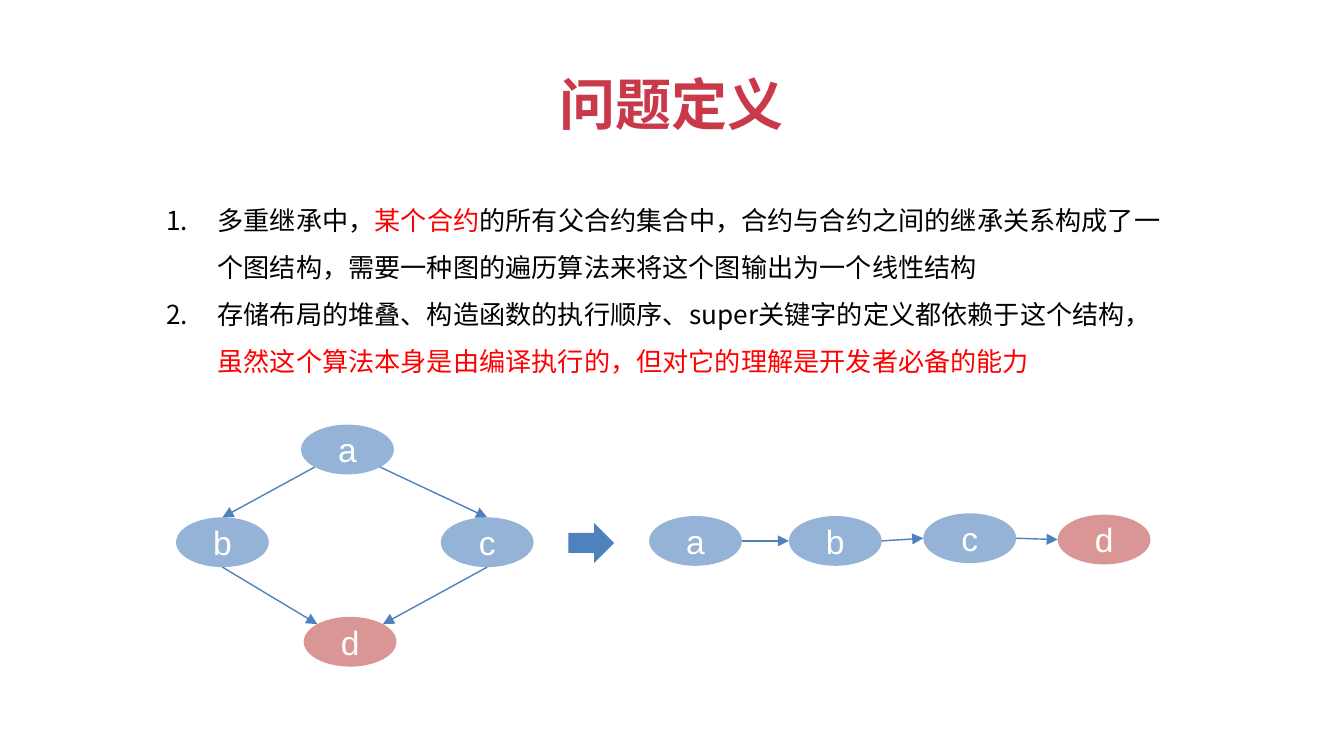
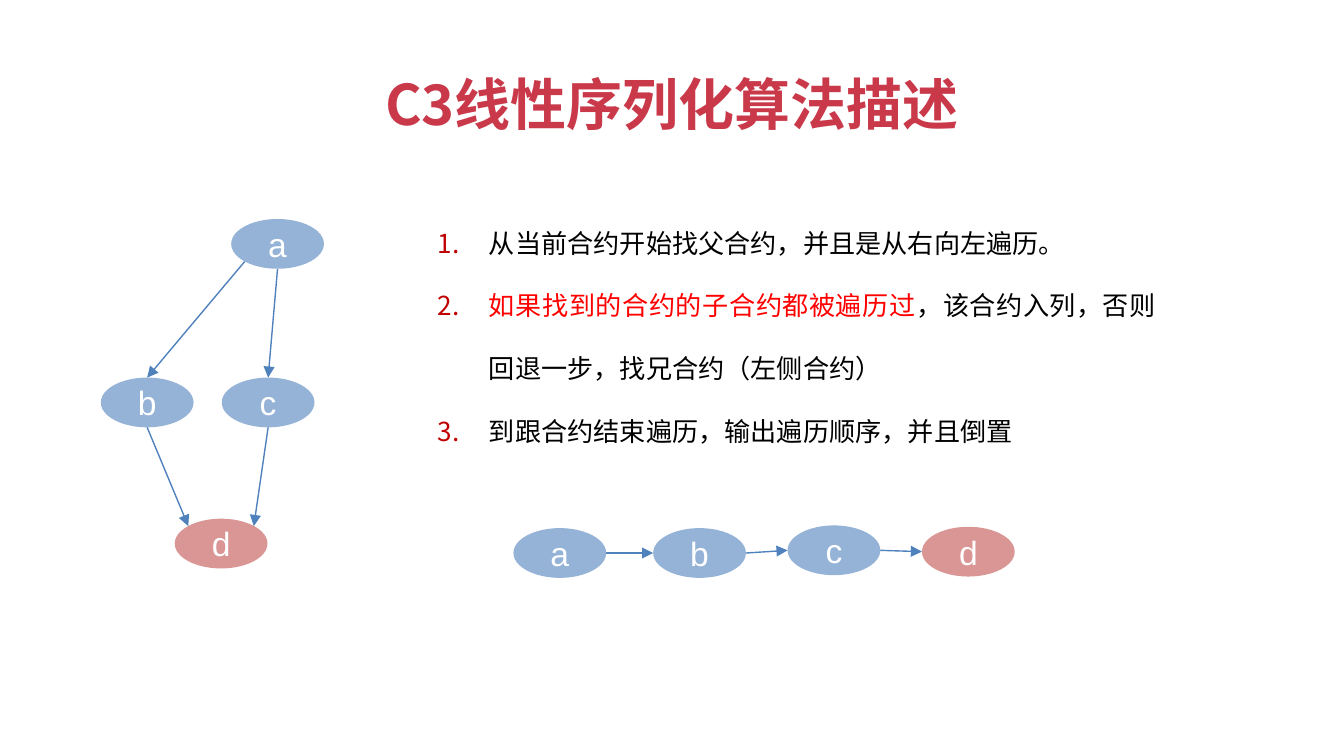
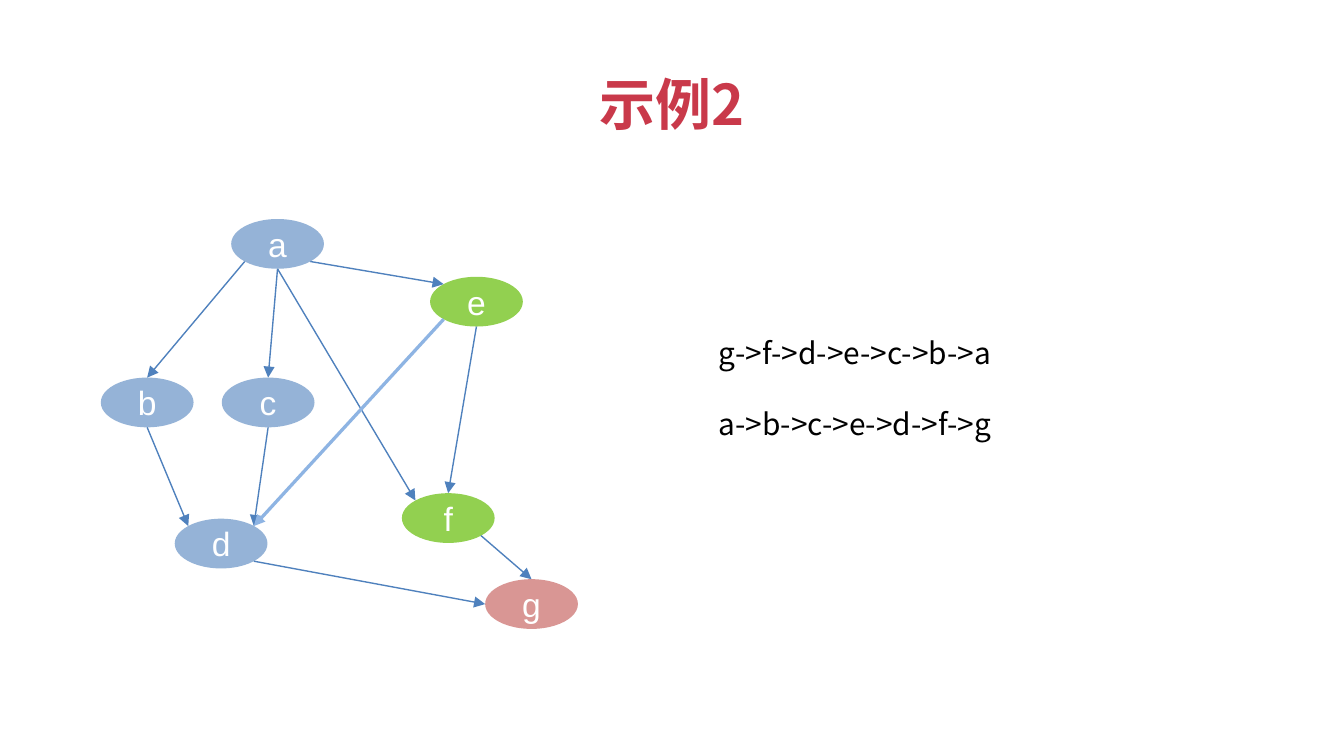
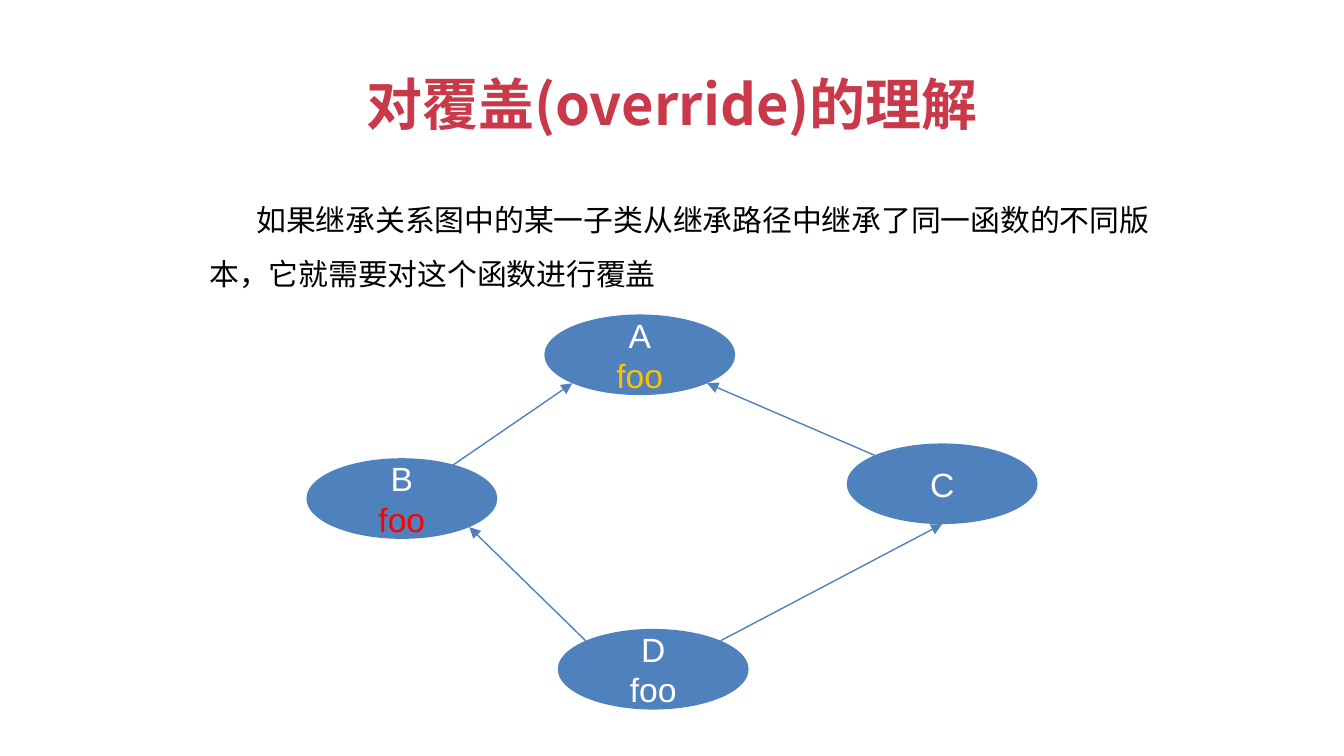
"""Build four slides on inheritance graphs and their linear order."""
from math import cos, pi, sin

from lxml.etree import SubElement
from pptx import Presentation
from pptx.dml.color import RGBColor
from pptx.enum.shapes import MSO_CONNECTOR, MSO_SHAPE
from pptx.enum.text import MSO_ANCHOR, MSO_AUTO_SIZE, PP_ALIGN
from pptx.oxml.ns import qn
from pptx.util import Inches, Pt

ELLIPSE, RIGHT_ARROW = MSO_SHAPE.OVAL, MSO_SHAPE.RIGHT_ARROW
STRAIGHT = MSO_CONNECTOR.STRAIGHT
TOP, MIDDLE = MSO_ANCHOR.TOP, MSO_ANCHOR.MIDDLE
LEFT, CENTER, JUSTIFY = PP_ALIGN.LEFT, PP_ALIGN.CENTER, PP_ALIGN.JUSTIFY
NO_AUTOFIT = MSO_AUTO_SIZE.NONE

CRIMSON = RGBColor(0xC9, 0x39, 0x4A)
BLACK = RGBColor(0, 0, 0)
WHITE = RGBColor(255, 255, 255)
RED = RGBColor(255, 0, 0)
DARK_RED = RGBColor(0xC0, 0, 0)
BLUE = RGBColor(0x4F, 0x81, 0xBD)
PALE_BLUE = RGBColor(0x95, 0xB3, 0xD7)
SKY = RGBColor(0x8E, 0xB4, 0xE3)
PINK = RGBColor(0xD9, 0x96, 0x94)
GREEN = RGBColor(0x92, 0xD0, 0x50)
AMBER = RGBColor(0xFF, 0xC0, 0)

CJK_FONT, NODE_FONT, LATIN_FONT = "Noto Sans CJK SC", "Arial", "Calibri"
SLIDE_WIDTH = 10
SLIDE_HEIGHT = SLIDE_WIDTH * 9 / 16
TITLE_TOP, TITLE_HEIGHT = 0.47, 0.61
SMALL, LARGE = (0.69, 0.37), (1.42, 0.6)
THIN, THICK = (BLUE, 0.75), (SKY, 1.75)

N, NW, W, SW, S, SE, E, NE = range(8)
FREE_START = (0.74, 0.13)

CHAIN_STEPS = [("a", 0, 0, PALE_BLUE), ("b", 1.04, 0, PALE_BLUE),
               ("c", 2.04, -0.02, PALE_BLUE), ("d", 3.04, -0.01, PINK)]
CHAIN_EDGES = [("a", E, "b", W), ("b", E, "c", W), ("c", E, "d", W)]
DIAMOND_EDGES = [("a", SW, "b", N), ("a", SE, "c", N),
                 ("b", S, "d", NW), ("c", S, "d", NE)]
TREE_EDGES = [("a", SW, "b", N), ("a", S, "c", N),
              ("b", S, "d", NW), ("c", S, "d", NE)]
TREE_NODES = [("a", 1.72, 1.63, PALE_BLUE), ("b", 0.75, 2.81, PALE_BLUE),
              ("c", 1.65, 2.81, PALE_BLUE)]


def chain(left, top):
    """Return a four-node chain that starts at the given corner."""
    nodes = [(name, left + dx, top + dy, fill) for name, dx, dy, fill in CHAIN_STEPS]
    return {"nodes": nodes, "edges": CHAIN_EDGES}


SLIDES = [
    {"title": "问题定义", "title_width": 1.88,
     "body": {"at": (1.14, 1.15, 7.72, 1.91), "size": 14, "spacing": 1.5,
              "margin": 0.38, "indent": -0.38, "numbered": True,
              "paragraphs": [
                  [("多重继承中，", BLACK), ("某个合约", RED),
                   ("的所有父合约集合中，合约与合约之间的继承关系构成了一个图结构，"
                    "需要一种图的遍历算法来将这个图输出为一个线性结构", BLACK)],
                  [("存储布局的堆叠、构造函数的执行顺序、super关键字的定义都依赖于这个结构，", BLACK),
                   ("虽然这个算法本身是由编译执行的，但对它的理解是开发者必备的能力", RED)]]},
     "graphs": [
         {"nodes": [("a", 2.24, 3.16, PALE_BLUE), ("b", 1.31, 3.85, PALE_BLUE),
                    ("c", 3.28, 3.85, PALE_BLUE), ("d", 2.26, 4.59, PINK)],
          "edges": DIAMOND_EDGES},
         chain(4.83, 3.84)],
     "arrow": (4.23, 3.89, 0.34, 0.3)},
    {"title": "C3线性序列化算法描述", "title_width": 4.53,
     "body": {"at": (2.87, 2.11, 5.83, 0.56), "size": 14, "spacing": 2.0,
              "margin": 0.67, "indent": -0.38, "numbered": True,
              "number_color": DARK_RED, "align": JUSTIFY,
              "paragraphs": [
                  [("从当前合约开始找父合约，并且是从右向左遍历。", BLACK)],
                  [("如果找到的合约的子合约都被遍历过", RED),
                   ("，该合约入列，否则回退一步，找兄合约（左侧合约）", BLACK)],
                  [("到跟合约结束遍历，输出遍历顺序，并且倒置", BLACK)]]},
     "graphs": [{"nodes": TREE_NODES + [("d", 1.3, 3.86, PINK)], "edges": TREE_EDGES},
                chain(3.82, 3.93)]},
    {"title": "示例2", "title_width": 1.3,
     "body": {"at": (4.96, 2.07, 3.66, 1.37), "size": 16, "spacing": 2.0,
              "margin": 0.29, "align": JUSTIFY,
              "paragraphs": [[("g->f->d->e->c->b->a", BLACK)],
                             [("a->b->c->e->d->f->g", BLACK)]]},
     "graphs": [
         {"nodes": TREE_NODES + [("d", 1.3, 3.86, PALE_BLUE), ("e", 3.2, 2.06, GREEN),
                                 ("f", 2.99, 3.67, GREEN), ("g", 3.61, 4.31, PINK)],
          "edges": TREE_EDGES + [("e", S, "f", N), ("a", S, "f", NW), ("a", SE, "e", NW),
                                 ("f", SE, "g", N), ("d", SE, "g", W),
                                 ("e", SW, "d", NE, THICK)]}]},
    {"title": "对覆盖(override)的理解", "title_width": 4.83,
     "body": {"at": (1.46, 1.32, 7.32, 0.86), "size": 16, "spacing": 1.5,
              "indent": 0.35, "font": LATIN_FONT, "anchor": TOP,
              "paragraphs": [
                  [("如果继承关系图中的某一子类从继承路径中继承了同一函数的不同版本，"
                    "它就需要对这个函数进行覆盖", BLACK)]]},
     "graphs": [
         {"size": LARGE, "foo": {"A": AMBER, "B": RED, "D": WHITE},
          "nodes": [("A", 4.05, 2.34, BLUE), ("B", 2.28, 3.41, BLUE),
                    ("C", 6.3, 3.3, BLUE), ("D", 4.15, 4.68, BLUE)],
          "edges": [("B", FREE_START, "A", SW), ("C", NW, "A", SE),
                    ("D", NW, "B", SE), ("D", NE, "C", S)]}]},
]


def inches(*lengths):
    return [Inches(length) for length in lengths]


def set_all(target, values):
    for name, value in values.items():
        setattr(target, name, value)


def add_span(para, text, font, size, color, bold=False):
    span = para.add_run()
    span.text = text
    set_all(span.font, {"name": font, "size": Pt(size), "bold": bold})
    span.font.color.rgb = color
    SubElement(span.font._element, qn("a:ea"), typeface=CJK_FONT)


def fill_frame(frame, paragraphs, font, size, anchor, align, bold=False):
    set_all(frame, {"word_wrap": True, "auto_size": NO_AUTOFIT, "vertical_anchor": anchor})
    for index, spans in enumerate(paragraphs):
        para = frame.add_paragraph() if index else frame.paragraphs[0]
        para.alignment = align
        for text, color in spans:
            add_span(para, text, font, size, color, bold)


def add_title(page, text, width):
    title = page.shapes.title
    left = (SLIDE_WIDTH - width) / 2
    position = inches(left, TITLE_TOP, width, TITLE_HEIGHT)
    set_all(title, dict(zip(("left", "top", "width", "height"), position)))
    fill_frame(title.text_frame, [[(text, CRIMSON)]], CJK_FONT, 30, TOP, CENTER, bold=True)


def add_body(page, body):
    box = page.shapes.add_textbox(*inches(*body["at"]))
    fill_frame(box.text_frame, body["paragraphs"], body.get("font", CJK_FONT),
               body["size"], body.get("anchor", MIDDLE), body.get("align", LEFT))
    for para in box.text_frame.paragraphs:
        para.line_spacing = body["spacing"]
        properties = para._p.get_or_add_pPr()
        properties.set("marL", str(Inches(body.get("margin", 0))))
        properties.set("indent", str(Inches(body.get("indent", 0))))
        if "number_color" in body:
            tint = SubElement(properties, qn("a:buClr"))
            SubElement(tint, qn("a:srgbClr"), val=str(body["number_color"]))
        if body.get("numbered"):
            SubElement(properties, qn("a:buAutoNum"), type="arabicPeriod")


def add_solid(page, kind, at, fill):
    shape = page.shapes.add_shape(kind, *inches(*at))
    shape.shadow.inherit = False
    shape.fill.solid()
    shape.fill.fore_color.rgb = fill
    shape.line.fill.background()
    return shape


def site_point(node, site):
    if isinstance(site, tuple):
        across, down = site
    else:
        angle = pi / 2 + site * pi / 4
        across, down = (1 + cos(angle)) / 2, (1 - sin(angle)) / 2
    return round(node.left + node.width * across), round(node.top + node.height * down)


def add_edge(page, start, start_site, end, end_site, style=THIN):
    color, width = style
    edge = page.shapes.add_connector(
        STRAIGHT, *site_point(start, start_site), *site_point(end, end_site))
    edge.line.color.rgb = color
    edge.line.width = Pt(width)
    SubElement(edge.line._get_or_add_ln(), qn("a:tailEnd"), type="triangle")
    SubElement(edge._element.spPr, qn("a:effectLst"))
    joints = edge._element.nvCxnSpPr.cNvCxnSpPr
    for tag, node, site in (("a:stCxn", start, start_site), ("a:endCxn", end, end_site)):
        if not isinstance(site, tuple):
            SubElement(joints, qn(tag), id=str(node.shape_id), idx=str(site))


def add_graph(page, graph):
    shapes = {}
    foo_colors = graph.get("foo", {})
    for name, left, top, fill in graph["nodes"]:
        node = add_solid(page, ELLIPSE, (left, top, *graph.get("size", SMALL)), fill)
        lines = [[(name, WHITE)]]
        if name in foo_colors:
            lines.append([("foo", foo_colors[name])])
        fill_frame(node.text_frame, lines, NODE_FONT, 18, MIDDLE, CENTER)
        shapes[name] = node
    for start, start_site, end, end_site, *style in graph["edges"]:
        add_edge(page, shapes[start], start_site, shapes[end], end_site, *style)


def main():
    deck = Presentation()
    deck.slide_width, deck.slide_height = inches(SLIDE_WIDTH, SLIDE_HEIGHT)
    title_only = deck.slide_layouts[5]
    for content in SLIDES:
        page = deck.slides.add_slide(title_only)
        add_title(page, content["title"], content["title_width"])
        add_body(page, content["body"])
        for graph in content["graphs"]:
            add_graph(page, graph)
        if "arrow" in content:
            add_solid(page, RIGHT_ARROW, content["arrow"], BLUE)
    deck.save("out.pptx")


if __name__ == "__main__":
    main()
